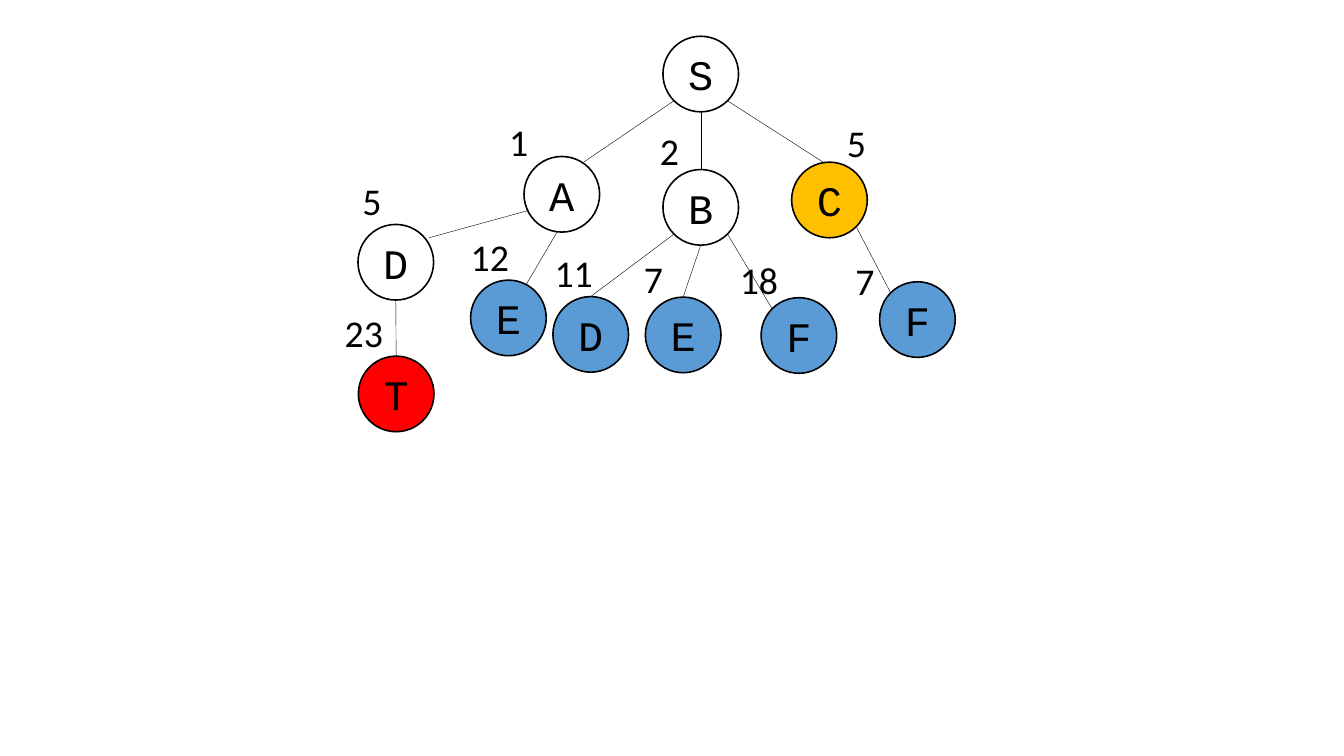
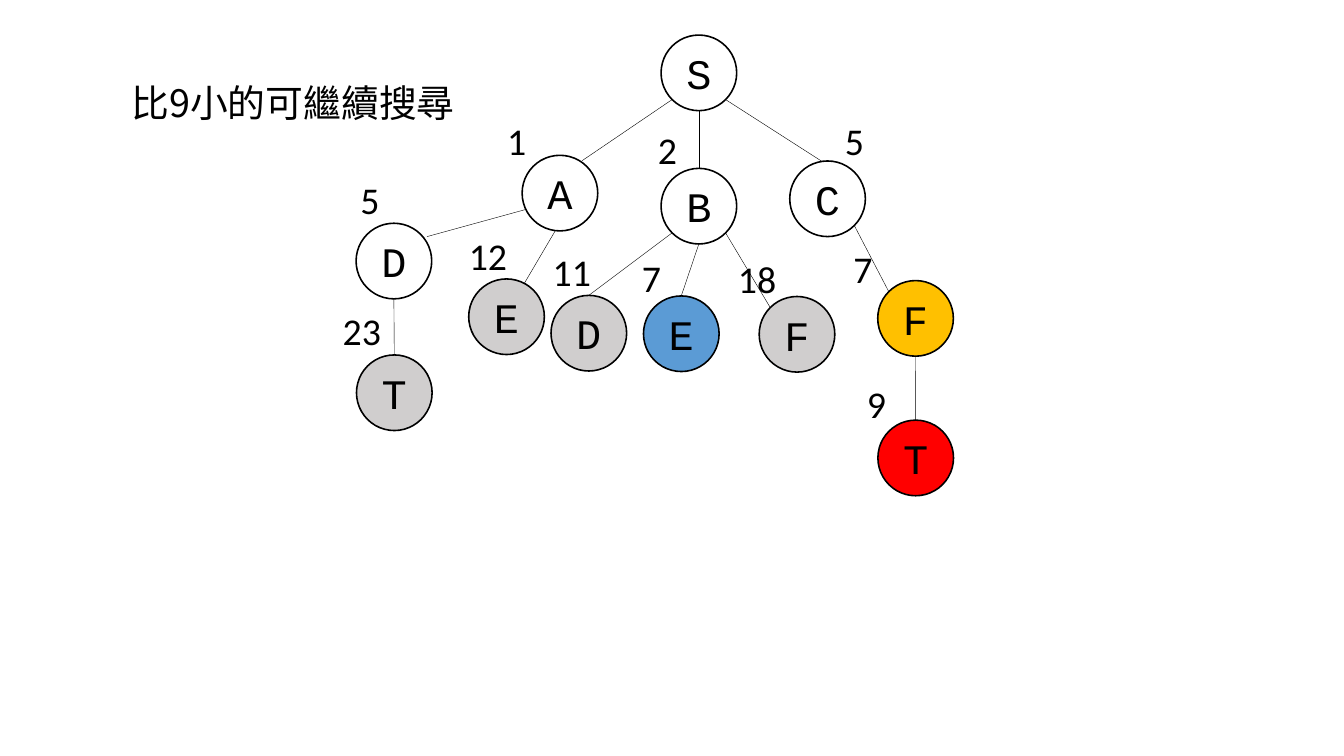
from dataclasses import dataclass

from lxml.etree import SubElement
from pptx import Presentation
from pptx.dml.color import RGBColor
from pptx.enum.shapes import MSO_CONNECTOR, MSO_SHAPE
from pptx.enum.text import MSO_ANCHOR, MSO_AUTO_SIZE, PP_ALIGN
from pptx.oxml.ns import qn
from pptx.util import Pt

BLACK, WHITE = "000000", "FFFFFF"
BLUE, ORANGE, RED, GRAY = "5B9BD5", "FFC000", "FF0000", "D0CECE"
DIAMETER = 96
LOWER_LEFT, BOTTOM, LOWER_RIGHT = (14, 82), (48, 96), (82, 82)
TOP, UPPER_LEFT = (48, 0), (14, 14)


@dataclass
class Branch:
    """A tree node with its cost label and the ends of the edge to its parent."""
    left: float
    top: float
    cost: str = ""
    cost_offset: tuple = (0, 0)
    start: tuple = BOTTOM
    end: tuple = TOP


TREE = {
    "S": Branch(841.7, 46),
    "SA": Branch(665.3, 198.7, "1", (-26, -51), LOWER_LEFT, (76, 7)),
    "SB": Branch(841.7, 215.3, "2", (-11, -57)),
    "SC": Branch(1005.1, 205.9, "5", (63, -58), LOWER_RIGHT, (40, 0)),
    "SAD": Branch(454.5, 285, "5", (-1.5, -63), (4, 69), (90, 17)),
    "SAE": Branch(597.5, 355.7, "12", (-7, -62), (42, 96), (71, 5)),
    "SBD": Branch(702, 376.6, "11", (-5, -63), LOWER_LEFT),
    "SBE": Branch(819.4, 377.3, "7", (-9, -56)),
    "SBF": Branch(966.3, 378, "18", (-34, -55.5), LOWER_RIGHT, UPPER_LEFT),
    "SADT": Branch(455, 452.2, "23", (-24.5, -63)),
    "SCF": Branch(1116.8, 357.8, "7", (-38, -34.5), LOWER_RIGHT, UPPER_LEFT),
    "SCFT": Branch(1117, 535, "9", (-21, -53)),
}


def color(hex_string):
    return RGBColor.from_string(hex_string)


class TreeDeck:
    """Holds the drawing style and the slide being drawn."""

    def __init__(self):
        self.deck = Presentation()
        self.deck.slide_width, self.deck.slide_height = Pt(1706.4), Pt(960)
        self.page = None

    def add_page(self):
        self.page = self.deck.slides.add_slide(self.deck.slide_layouts[6])

    def style_text(self, frame, text, size, font, align):
        frame.text = text
        paragraph = frame.paragraphs[0]
        paragraph.alignment = align
        span = paragraph.runs[0]
        span.font.size, span.font.name = Pt(size), font
        span.font.color.rgb = color(BLACK)
        SubElement(span.font._element, qn("a:ea")).set("typeface", font)

    def label(self, left, top, width, text, font="Calibri", align=PP_ALIGN.LEFT):
        box = self.page.shapes.add_textbox(Pt(left), Pt(top), Pt(width), Pt(65.5))
        box.text_frame.word_wrap = True
        box.text_frame.auto_size = MSO_AUTO_SIZE.SHAPE_TO_FIT_TEXT
        self.style_text(box.text_frame, text, 48, font, align)

    def circle(self, left, top, letter, fill):
        shape = self.page.shapes.add_shape(
            MSO_SHAPE.OVAL, Pt(left), Pt(top), Pt(DIAMETER), Pt(DIAMETER))
        shape.shadow.inherit = False
        if fill:
            shape.fill.solid()
            shape.fill.fore_color.rgb = color(fill)
        else:
            shape.fill.background()
        shape.line.color.rgb, shape.line.width = color(BLACK), Pt(2)
        shape.text_frame.vertical_anchor = MSO_ANCHOR.MIDDLE
        self.style_text(shape.text_frame, letter, 53.3, "Courier New", PP_ALIGN.CENTER)
        return shape

    def edge(self, start, end):
        line = self.page.shapes.add_connector(
            MSO_CONNECTOR.STRAIGHT, *(Pt(value) for value in (*start, *end)))
        line.line.color.rgb, line.line.width = color(BLACK), Pt(0.5)
        SubElement(line._element.spPr, qn("a:effectLst"))
        return line

    def tree(self, fills, shift=(0, 0), moved_costs=None):
        moved_costs = moved_costs or {}
        dx, dy = shift
        for route, fill in fills.items():
            node = TREE[route]
            left, top = node.left + dx, node.top + dy
            circle = self.circle(left, top, route[-1], fill)
            if not node.cost:
                continue
            parent = TREE[route[:-1]]
            line = self.edge(
                (parent.left + dx + node.start[0], parent.top + dy + node.start[1]),
                (left + node.end[0], top + node.end[1]))
            if node.end == TOP:
                line.end_connect(circle, 0)
            cost_x, cost_y = moved_costs.get(route, node.cost_offset)
            narrow = len(route) == 2 or route.startswith("SC")
            self.label(left + cost_x, top + cost_y, 68 if narrow else 91.5, node.cost)


def main():
    drawing = TreeDeck()
    opened = {"S": None, "SA": WHITE, "SB": WHITE, "SC": WHITE, "SAD": WHITE}

    drawing.add_page()
    waiting = dict.fromkeys(("SAE", "SBD", "SBE", "SBF", "SCF"), BLUE)
    drawing.tree({**opened, "SC": ORANGE, **waiting, "SADT": RED})

    drawing.add_page()
    pruned = dict.fromkeys(("SAE", "SBD", "SBF", "SADT"), GRAY)
    drawing.tree({**opened, **pruned, "SBE": BLUE, "SCF": ORANGE, "SCFT": RED},
                 shift=(-2.4, -1.5), moved_costs={"SCF": (-38, -47.5)})
    drawing.label(88, 98, 568, "比9小的可繼續搜尋", "Noto Sans CJK SC", PP_ALIGN.CENTER)

    drawing.deck.save("out.pptx")


if __name__ == "__main__":
    main()
